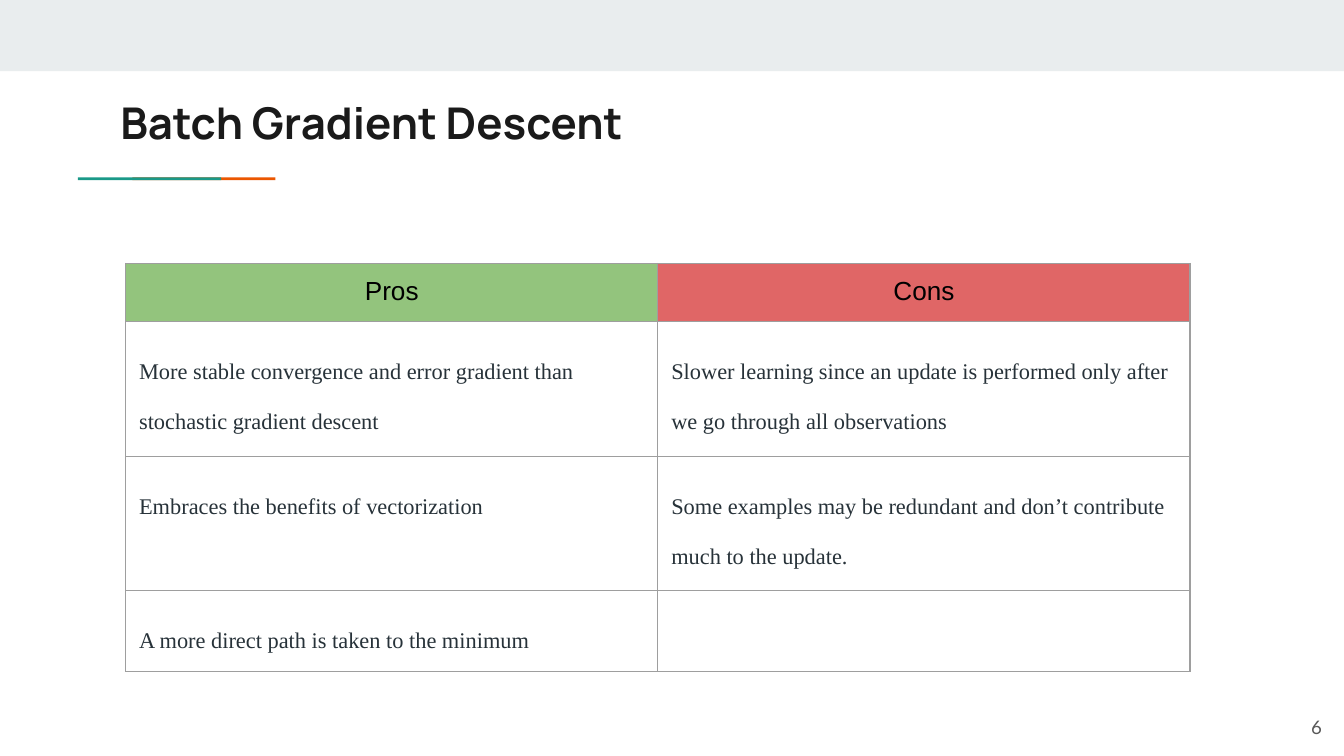
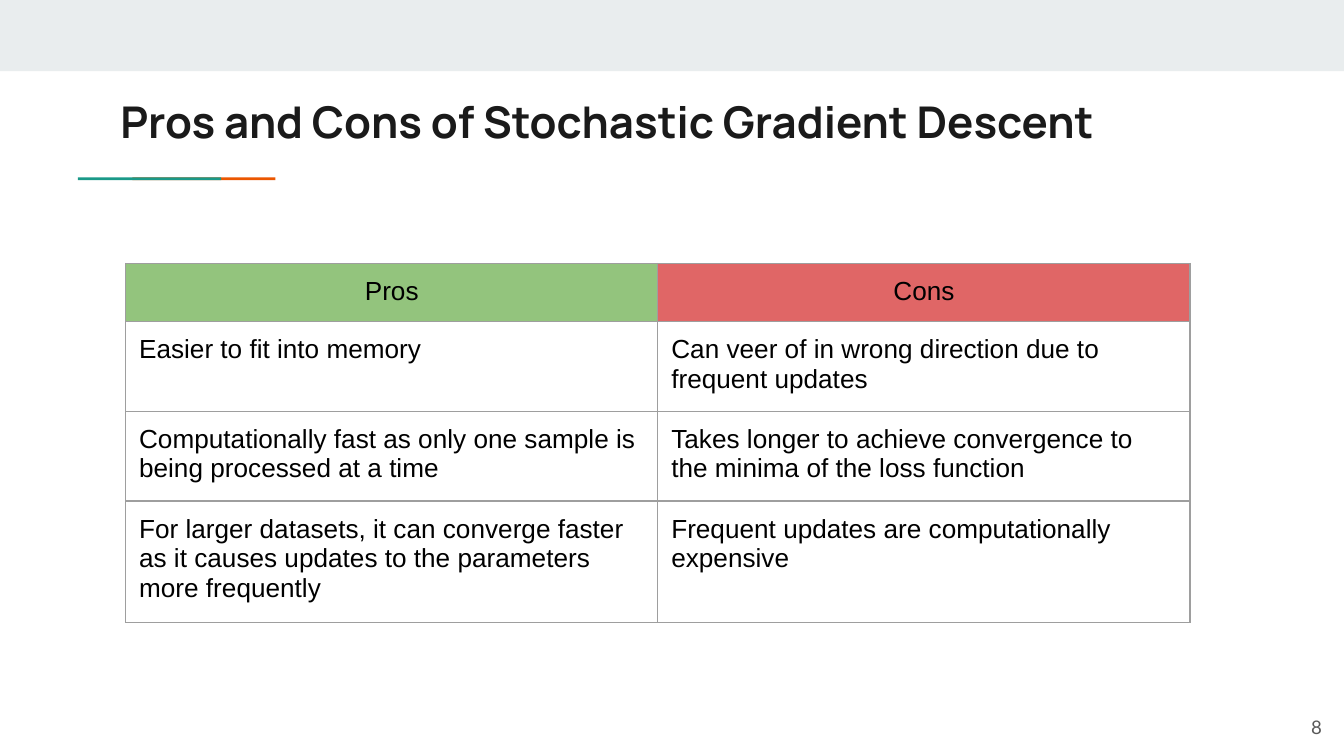
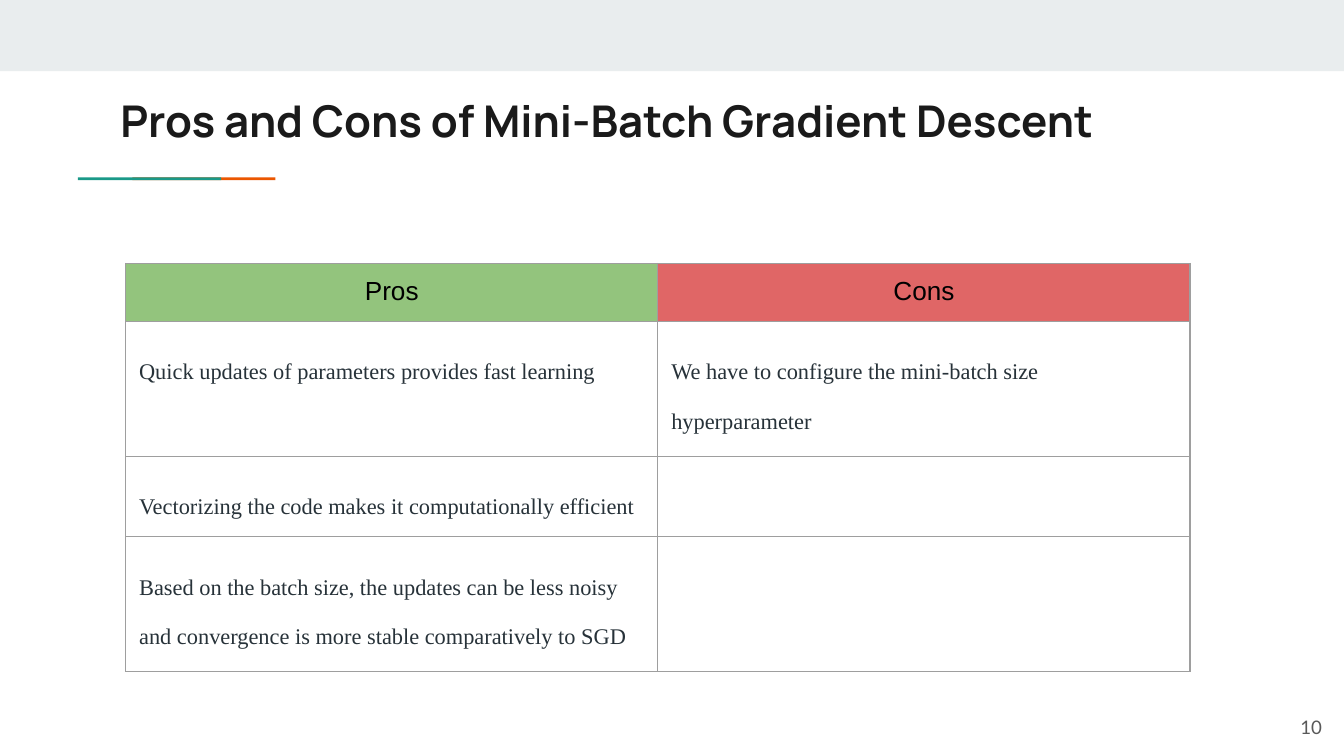
from dataclasses import dataclass

from pptx import Presentation
from pptx.dml.color import RGBColor
from pptx.enum.shapes import MSO_SHAPE
from pptx.enum.text import MSO_ANCHOR, MSO_AUTO_SIZE, PP_ALIGN
from pptx.oxml import parse_xml
from pptx.oxml.ns import nsdecls
from pptx.slide import Slide
from pptx.table import _Cell
from pptx.text.text import TextFrame
from pptx.util import Emu, Pt

BAND = RGBColor(0xE9, 0xED, 0xEE)
ORANGE = RGBColor(0xEB, 0x56, 0x00)
TEAL = RGBColor(0x1A, 0x99, 0x88)
INK = RGBColor(0x1A, 0x1A, 0x1A)
BLACK = RGBColor(0x00, 0x00, 0x00)
SLATE = RGBColor(0x27, 0x32, 0x39)
GRAY = RGBColor(0x59, 0x59, 0x59)
BORDER = RGBColor(0x9E, 0x9E, 0x9E)
GREEN = RGBColor(0x93, 0xC4, 0x7D)
RED = RGBColor(0xE0, 0x66, 0x66)

PX = 4572
INSET = 20
COLUMN_WIDTH = 792
ROW_HEIGHT = 83
FRAME_SIZE = 656
TITLE_ONLY = 5


@dataclass(frozen=True)
class TextStyle:
    font: str
    size: float
    color: RGBColor
    bold: bool = False
    align: PP_ALIGN = PP_ALIGN.LEFT
    spacing: float = 1.0


@dataclass(frozen=True)
class Bar:
    left: int
    top: int
    width: int
    height: int
    color: RGBColor


@dataclass(frozen=True)
class Comparison:
    title: str
    title_top: int
    number: int
    body: TextStyle
    rows: tuple[tuple[str, str], ...]


TITLE = TextStyle("Manrope", 23.4, INK, bold=True)
NUMBER = TextStyle("Lato", 10, GRAY, align=PP_ALIGN.RIGHT)
HEADER = TextStyle("Arial", 14, BLACK, align=PP_ALIGN.CENTER)
SANS = TextStyle("Arial", 14, BLACK)
SERIF = TextStyle("Times New Roman", 12, SLATE, spacing=2.0)

BARS = (
    Bar(0, 0, 2000, 106, BAND),
    Bar(197, 264, 213, 4, ORANGE),
    Bar(116, 264, 213, 4, TEAL),
)
HEADINGS = (("Pros", GREEN), ("Cons", RED))

COMPARISONS = (
    Comparison("Batch Gradient Descent", 122, 6, SERIF, (
        ("More stable convergence and error gradient than stochastic gradient descent",
         "Slower learning since an update is performed only after we go through all observations"),
        ("Embraces the benefits of vectorization",
         "Some examples may be redundant and don’t contribute much to the update."),
        ("A more direct path is taken to the minimum", ""),
    )),
    Comparison("Pros and Cons of Stochastic Gradient Descent", 121, 8, SANS, (
        ("Easier to fit into memory",
         "Can veer of in wrong direction due to frequent updates"),
        ("Computationally fast as only one sample is being processed at a time",
         "Takes longer to achieve convergence to the minima of the loss function"),
        ("For larger datasets, it can converge faster as it causes updates to the parameters more frequently",
         "Frequent updates are computationally expensive"),
    )),
    Comparison("Pros and Cons of Mini-Batch Gradient Descent", 119, 10, SERIF, (
        ("Quick updates of parameters provides fast learning",
         "We have to configure the mini-batch size hyperparameter"),
        ("Vectorizing the code makes it computationally efficient", ""),
        ("Based on the batch size, the updates can be less noisy and convergence is more stable comparatively to SGD",
         ""),
    )),
)


def px(value: int) -> Emu:
    return Emu(value * PX)


def set_margins(target: TextFrame | _Cell) -> None:
    target.margin_left = target.margin_right = px(INSET)
    target.margin_top = target.margin_bottom = px(INSET)


def write(tf: TextFrame, text: str, style: TextStyle) -> None:
    tf.text = text
    p = tf.paragraphs[0]
    p.alignment = style.align
    p.line_spacing = style.spacing
    for r in p.runs:
        r.font.name = style.font
        r.font.size = Pt(style.size)
        r.font.bold = style.bold
        r.font.color.rgb = style.color


def add_bar(s: Slide, bar: Bar) -> None:
    sp = s.shapes.add_shape(MSO_SHAPE.RECTANGLE, px(bar.left), px(bar.top),
                            px(bar.width), px(bar.height))
    sp.shadow.inherit = False
    sp.fill.solid()
    sp.fill.fore_color.rgb = bar.color
    sp.line.fill.background()


def add_title(s: Slide, text: str, top: int) -> None:
    sp = s.shapes.title
    sp.left, sp.top, sp.width, sp.height = px(159), px(top), px(1682), px(118)
    tf = sp.text_frame
    tf.word_wrap = True
    tf.auto_size = MSO_AUTO_SIZE.NONE
    tf.vertical_anchor = MSO_ANCHOR.TOP
    set_margins(tf)
    write(tf, text, TITLE)


def add_number(s: Slide, number: int) -> None:
    tf = s.shapes.add_textbox(px(1867), px(1039), px(120), px(86)).text_frame
    tf.word_wrap = True
    tf.vertical_anchor = MSO_ANCHOR.MIDDLE
    set_margins(tf)
    write(tf, str(number), NUMBER)


def add_borders(cell: _Cell) -> None:
    tc_pr = cell._tc.get_or_add_tcPr()
    for i, side in enumerate(("lnL", "lnR", "lnT", "lnB")):
        tc_pr.insert(i, parse_xml(
            f'<a:{side} {nsdecls("a")} w="{Pt(0.75)}"><a:solidFill>'
            f'<a:srgbClr val="{BORDER}"/></a:solidFill></a:{side}>'))


def fill_cell(cell: _Cell, text: str, style: TextStyle, color: RGBColor | None = None) -> None:
    set_margins(cell)
    if color is None:
        cell.fill.background()
    else:
        cell.fill.solid()
        cell.fill.fore_color.rgb = color
    write(cell.text_frame, text, style)
    add_borders(cell)


def add_comparison_table(s: Slide, comparison: Comparison) -> None:
    row_count = len(comparison.rows) + 1
    column_count = len(HEADINGS)
    frame = s.shapes.add_table(row_count, column_count, px(187), px(392),
                               px(COLUMN_WIDTH * column_count), px(ROW_HEIGHT * row_count))
    frame.width = frame.height = px(FRAME_SIZE)
    table = frame.table
    table.first_row = False
    table.horz_banding = False
    for column, (heading, color) in enumerate(HEADINGS):
        fill_cell(table.cell(0, column), heading, HEADER, color)
    for row, texts in enumerate(comparison.rows, start=1):
        for column, text in enumerate(texts):
            fill_cell(table.cell(row, column), text, comparison.body)


def main() -> None:
    prs = Presentation()
    prs.slide_width, prs.slide_height = px(2000), px(1125)
    for comparison in COMPARISONS:
        s = prs.slides.add_slide(prs.slide_layouts[TITLE_ONLY])
        for bar in BARS:
            add_bar(s, bar)
        add_title(s, comparison.title, comparison.title_top)
        add_number(s, comparison.number)
        add_comparison_table(s, comparison)
    prs.save("out.pptx")


if __name__ == "__main__":
    main()
